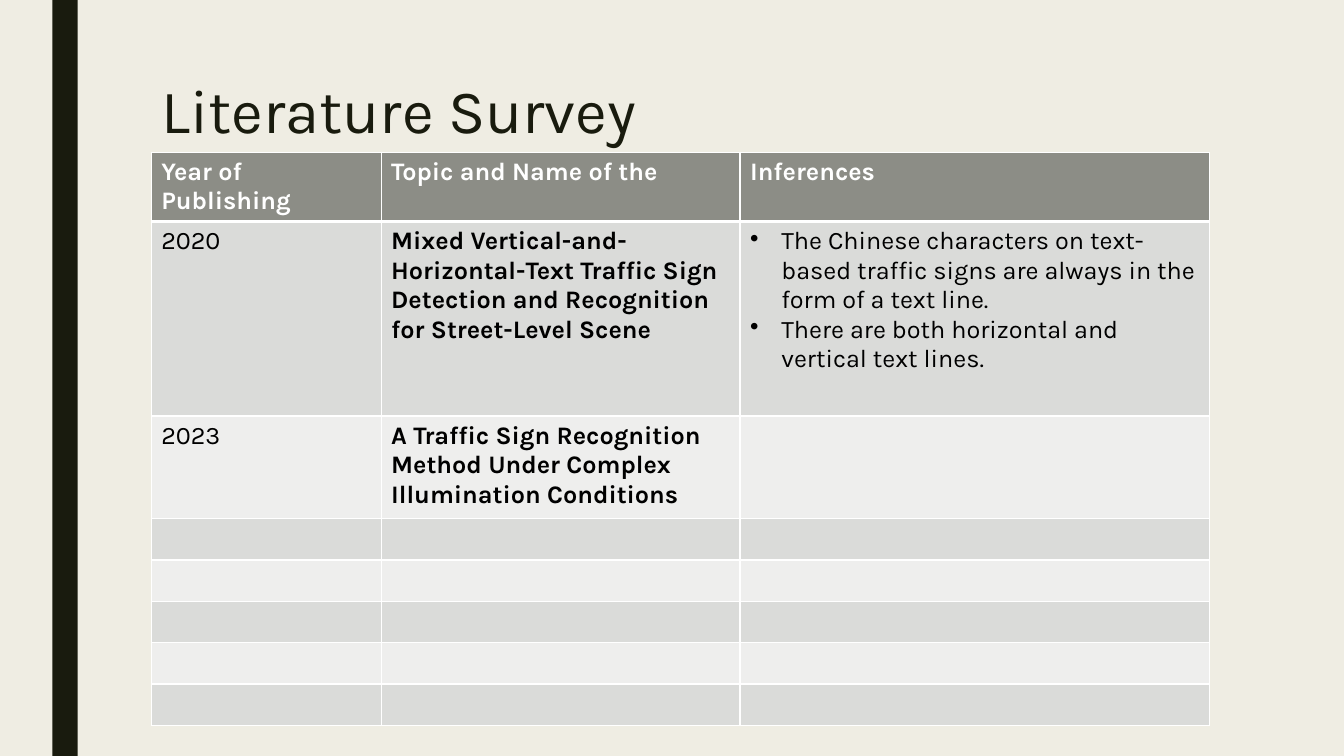
import pptx
import pptx.dml.color
import pptx.enum.shapes
import pptx.enum.text
import pptx.oxml
import pptx.oxml.ns
import pptx.util
from pptx.util import Inches

RGBColor = pptx.dml.color.RGBColor
CREAM = RGBColor(0xEF, 0xED, 0xE3)
DARK = RGBColor(0x19, 0x1B, 0x0E)
HEADER = RGBColor(0x8C, 0x8D, 0x86)
BANDS = (RGBColor(0xEE, 0xEE, 0xED), RGBColor(0xDA, 0xDB, 0xD9))
WHITE = RGBColor(0xFF, 0xFF, 0xFF)
BLACK = RGBColor(0, 0, 0)
FONT = "Karla"

COLUMNS = (2.28, 3.56, 4.66)
ROWS = (0.41, 1.93, 1.02) + (0.41,) * 5
SURVEY = [
    [["Year of Publishing"], ["Topic and Name of the"], ["Inferences"]],
    [
        ["2020"],
        ["Mixed Vertical-and-Horizontal-Text Traffic Sign Detection and "
         "Recognition for Street-Level Scene"],
        ["The Chinese characters on text-based traffic signs are always in "
         "the form of a text line.",
         "There are both horizontal and vertical text lines."],
    ],
    [
        ["2023"],
        ["A Traffic Sign Recognition Method Under Complex Illumination "
         "Conditions"],
        [],
    ],
]


def set_font(p, size, color, bold=False):
    """Format a whole paragraph."""
    p.font.name = FONT
    p.font.size = pptx.util.Pt(size)
    p.font.color.rgb = color
    p.font.bold = bold


def add_bullet(p):
    """Give a paragraph a hanging round bullet."""
    pPr = p._p.get_or_add_pPr()
    pPr.set("marL", str(Inches(0.31)))
    pPr.set("indent", str(Inches(-0.31)))
    ns = pptx.oxml.ns.nsdecls("a")
    bullet = pptx.oxml.parse_xml(f'<a:buChar {ns} char="•"/>')
    pPr.insert_element_before(bullet, "a:tabLst", "a:defRPr", "a:extLst")


def set_borders(cell, bottom):
    """Draw white cell borders, with the given bottom width in points."""
    tcPr = cell._tc.get_or_add_tcPr()
    ns = pptx.oxml.ns.nsdecls("a")
    widths = (("lnL", 1), ("lnR", 1), ("lnT", 1), ("lnB", bottom))
    for i, (side, width) in enumerate(widths):
        tcPr.insert(i, pptx.oxml.parse_xml(
            f'<a:{side} {ns} w="{pptx.util.Pt(width)}"><a:solidFill>'
            f'<a:srgbClr val="{WHITE}"/></a:solidFill></a:{side}>'))


def add_side_bar(s, left, top, width, height):
    """Place the dark bar beside the left edge."""
    sp = s.shapes.add_shape(
        pptx.enum.shapes.MSO_SHAPE.RECTANGLE,
        Inches(left), Inches(top), Inches(width), Inches(height))
    sp.shadow.inherit = False
    sp.fill.solid()
    sp.fill.fore_color.rgb = DARK
    sp.line.fill.background()


def add_title(s, text, left, top, width, height):
    """Place and format the title placeholder."""
    sp = s.shapes.title
    sp.left, sp.top = Inches(left), Inches(top)
    sp.width, sp.height = Inches(width), Inches(height)
    tf = sp.text_frame
    tf.text = text
    tf.word_wrap = True
    tf.auto_size = pptx.enum.text.MSO_AUTO_SIZE.NONE
    tf.vertical_anchor = pptx.enum.text.MSO_ANCHOR.MIDDLE
    p = tf.paragraphs[0]
    p.alignment = pptx.enum.text.PP_ALIGN.LEFT
    p.line_spacing = 0.89
    set_font(p, 44, DARK)


def fill_cell(cell, lines, row, col):
    """Write and format one survey cell."""
    header = row == 0
    cell.fill.solid()
    cell.fill.fore_color.rgb = HEADER if header else BANDS[row % 2]
    set_borders(cell, 3 if header else 1)
    cell.text = "\n".join(lines)
    for p in cell.text_frame.paragraphs:
        set_font(p, 18, WHITE if header else BLACK, header or col == 1)
        if lines and not header and col == 2:
            add_bullet(p)


def add_survey_table(s, left, top, width, height):
    """Place the banded survey table."""
    table = s.shapes.add_table(
        len(ROWS), len(COLUMNS), Inches(left), Inches(top),
        Inches(width), Inches(height)).table
    for column, size in zip(table.columns, COLUMNS):
        column.width = Inches(size)
    for i, size in enumerate(ROWS):
        table.rows[i].height = Inches(size)
        texts = SURVEY[i] if i < len(SURVEY) else [[]] * len(COLUMNS)
        for j, lines in enumerate(texts):
            fill_cell(table.cell(i, j), lines, i, j)


def main():
    """Build the literature survey slide."""
    prs = pptx.Presentation()
    prs.slide_width, prs.slide_height = Inches(13.33), Inches(7.5)
    s = prs.slides.add_slide(prs.slide_layouts[5])
    s.background.fill.solid()
    s.background.fill.fore_color.rgb = CREAM
    add_side_bar(s, 0.52, 0, 0.25, 7.5)
    add_title(s, "Literature Survey", 1.5, 0.75, 10.5, 0.76)
    add_survey_table(s, 1.5, 1.51, sum(COLUMNS), sum(ROWS))
    prs.save("out.pptx")


if __name__ == "__main__":
    main()
